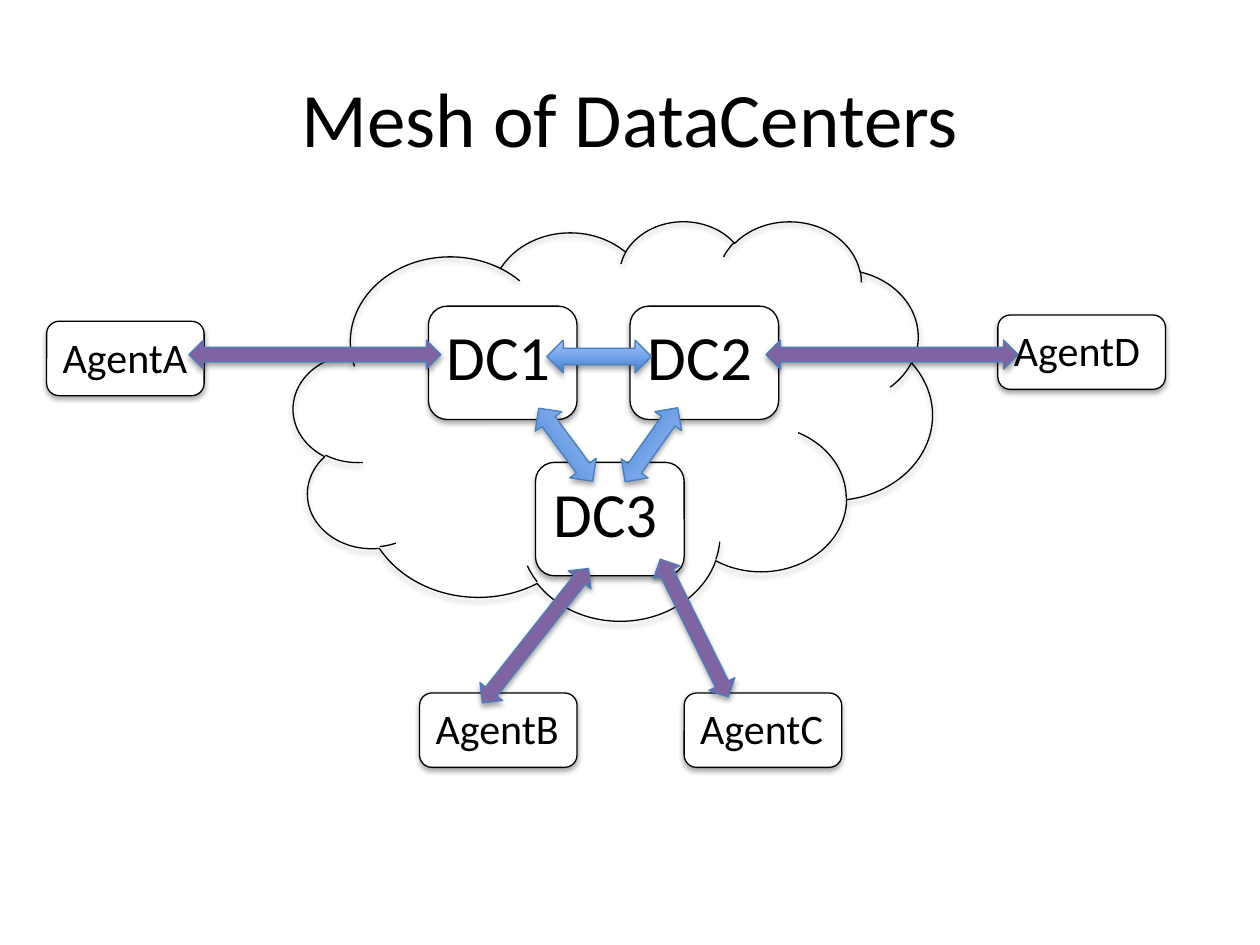
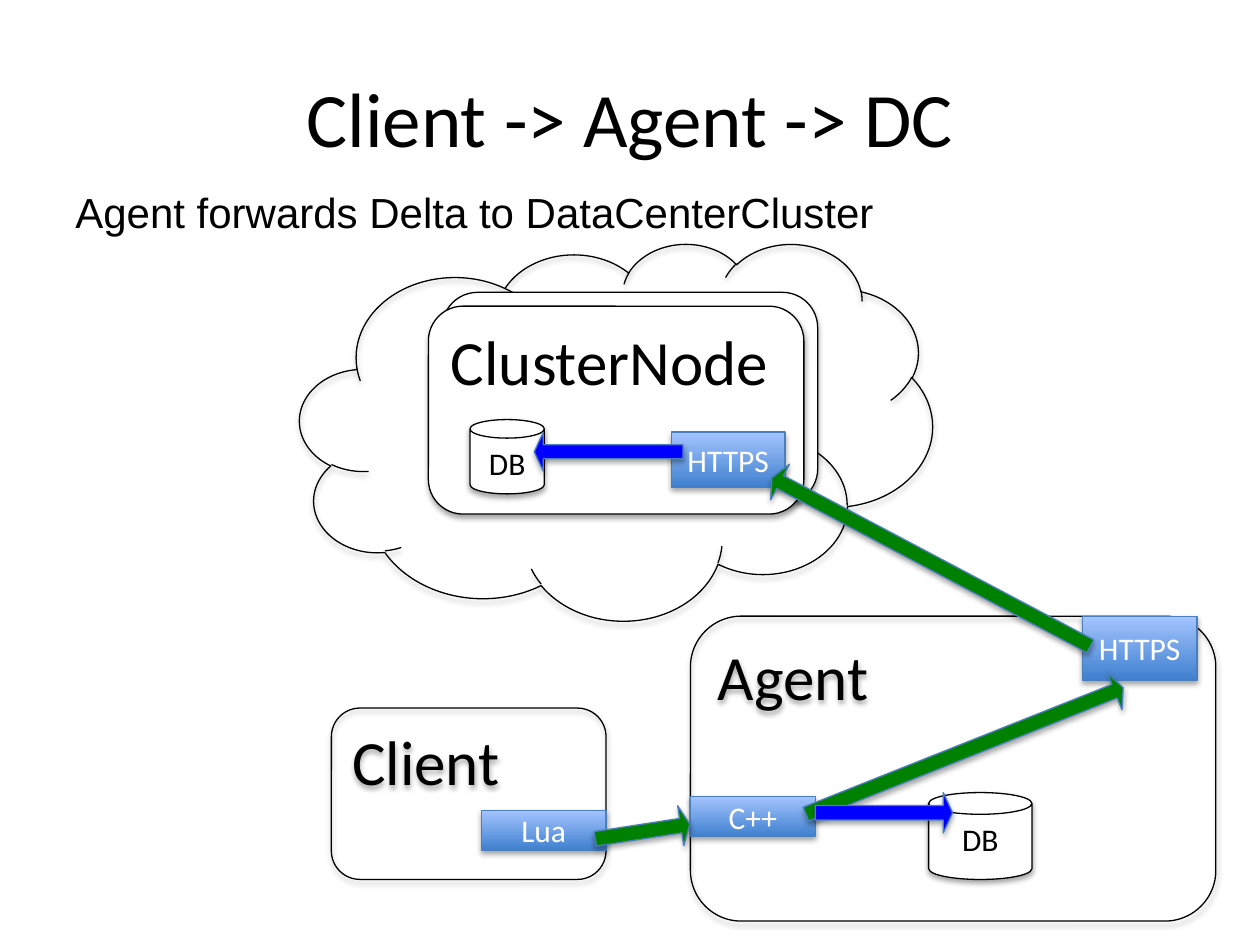
from lxml import etree
from pptx import Presentation
from pptx.dml.color import RGBColor
from pptx.enum.shapes import MSO_SHAPE
from pptx.enum.text import MSO_ANCHOR, MSO_AUTO_SIZE, PP_ALIGN
from pptx.oxml.ns import qn
from pptx.util import Pt

PX = 9144
BLACK, WHITE, EDGE_BLUE = "000000", "FFFFFF", "4B7EBC"
BLUE_GRADIENT = ("3F80CE", "A4C4FF")
TITLE_BOX = (50, 30, 900, 125)
ARROW_ADJUSTMENTS = (0.361, 0.229)

STYLES = {
    "cloud": dict(preset=MSO_SHAPE.CLOUD),
    "frame": dict(preset=MSO_SHAPE.ROUNDED_RECTANGLE, size=36),
    "node": dict(preset=MSO_SHAPE.ROUNDED_RECTANGLE, fill=WHITE, size=36),
    "agent": dict(preset=MSO_SHAPE.ROUNDED_RECTANGLE, fill=WHITE, size=24),
    "database": dict(preset=MSO_SHAPE.CAN, fill=WHITE, size=18, centered=True),
    "module": dict(preset=MSO_SHAPE.RECTANGLE, fill=BLUE_GRADIENT, line=EDGE_BLUE,
                   size=18, color=WHITE, centered=True, anchor=MSO_ANCHOR.MIDDLE),
    "sync": dict(preset=MSO_SHAPE.LEFT_RIGHT_ARROW, fill=BLUE_GRADIENT, line=EDGE_BLUE),
    "link": dict(preset=MSO_SHAPE.LEFT_RIGHT_ARROW, fill="8064A2", line=EDGE_BLUE),
    "forward": dict(preset=MSO_SHAPE.RIGHT_ARROW, fill="008000", line=EDGE_BLUE,
                    adjustments=ARROW_ADJUSTMENTS),
    "store": dict(preset=MSO_SHAPE.RIGHT_ARROW, fill="0000FF", line=EDGE_BLUE,
                  adjustments=ARROW_ADJUSTMENTS),
}

DATACENTER_SIZE = (118, 90)
DATACENTERS = [("DC1", 340, 243), ("DC2", 500, 243), ("DC3", 425, 367)]
AGENTS = [
    ("AgentA", 37, 255, 125),
    ("AgentB", 333, 550, 125),
    ("AgentC", 543, 550, 125),
    ("AgentD", 792, 250, 133),
]
AGENT_HEIGHT = 59
MESH_ARROWS = [
    ("sync", (413, 340, 72, 26), 53.5),
    ("sync", (481, 340, 72, 26), 125.4),
    ("sync", (434, 270, 83, 26), 0),
    ("link", (150, 270, 200, 23), 0),
    ("link", (608, 270, 200, 23), 0),
    ("link", (357, 493, 136, 23), 308.3),
    ("link", (490, 487, 122, 23), 243.7),
]
MESH_PARTS = (
    [("cloud", (233, 175, 507, 317), "", 0)]
    + [("node", (left, top, *DATACENTER_SIZE), name, 0) for name, left, top in DATACENTERS]
    + [("agent", (left, top, width, AGENT_HEIGHT), name, 0) for name, left, top, width in AGENTS]
    + [(style, box, "", angle) for style, box, angle in MESH_ARROWS]
)

FORWARDING_PARTS = [
    ("cloud", (238, 193, 502, 299), "", 0),
    ("frame", (548, 489, 417, 242), "Agent", 0),
    ("database", (737, 629, 82, 69), "DB", 0),
    ("module", (548, 632, 99, 32), "C++", 0),
    ("module", (859, 489, 91, 51), "HTTPS", 0),
    ("forward", (630, 580, 271, 32), "", 338.3),
    ("store", (647, 629, 109, 32), "", 0),
    ("frame", (263, 562, 218, 136), "Client", 0),
    ("module", (382, 643, 99, 32), "Lua", 0),
    ("node", (351, 232, 298, 168), "", 0),
    ("forward", (472, 644, 76, 32), "", 351.2),
    ("node", (340, 243, 298, 165), "ClusterNode", 0),
    ("database", (373, 333, 59, 59), "DB", 0),
    ("module", (533, 343, 90, 44), "HTTPS", 0),
    ("store", (424, 343, 118, 31), "", 180),
    ("forward", (596, 430, 286, 32), "", 207.9),
]

SLIDES = [
    ("Mesh of DataCenters", None, MESH_PARTS),
    ("Client -> Agent -> DC", "Agent forwards Delta to DataCenterCluster", FORWARDING_PARTS),
]
SUBTITLE_BOX = (50, 143, 917, 50)


def rgb(value):
    return RGBColor.from_string(value)


def scaled(box):
    return [length * PX for length in box]


def write(shape, text, size, color=BLACK, font="Calibri", centered=False, anchor=MSO_ANCHOR.TOP):
    frame = shape.text_frame
    frame.word_wrap = True
    frame.vertical_anchor = anchor
    paragraph = frame.paragraphs[0]
    paragraph.alignment = PP_ALIGN.CENTER if centered else PP_ALIGN.LEFT
    run = paragraph.add_run()
    run.text = text
    run.font.name = font
    run.font.size = Pt(size)
    run.font.color.rgb = rgb(color)


def paint(shape, fill):
    if fill is None:
        shape.fill.background()
    elif isinstance(fill, tuple):
        shape.fill.gradient()
        shape.fill.gradient_angle = 90
        for stop, color in zip(shape.fill.gradient_stops, fill):
            stop.color.rgb = rgb(color)
    else:
        shape.fill.solid()
        shape.fill.fore_color.rgb = rgb(fill)


def add_shadow(shape):
    shape.shadow.inherit = False
    effects = shape.element.spPr.find(qn("a:effectLst"))
    shadow = etree.SubElement(effects, qn("a:outerShdw"), blurRad="40000", dist="23000",
                              dir="5400000", rotWithShape="0")
    color = etree.SubElement(shadow, qn("a:srgbClr"), val=BLACK)
    etree.SubElement(color, qn("a:alpha"), val="35000")


def add_part(slide, preset, box, text, angle, fill=None, line=BLACK, adjustments=(), **text_style):
    shape = slide.shapes.add_shape(preset, *scaled(box))
    shape.rotation = angle
    for index, value in enumerate(adjustments):
        shape.adjustments[index] = value
    paint(shape, fill)
    shape.line.color.rgb = rgb(line)
    shape.line.width = Pt(0.75)
    add_shadow(shape)
    if text:
        write(shape, text, **text_style)


def add_slide(presentation, title, subtitle, parts):
    slide = presentation.slides.add_slide(presentation.slide_layouts[5])
    heading = slide.shapes.title
    heading.left, heading.top, heading.width, heading.height = scaled(TITLE_BOX)
    write(heading, title, 44, centered=True, anchor=MSO_ANCHOR.MIDDLE)
    for style, box, text, angle in parts:
        add_part(slide, box=box, text=text, angle=angle, **STYLES[style])
    if subtitle:
        text_box = slide.shapes.add_textbox(*scaled(SUBTITLE_BOX))
        write(text_box, subtitle, 24, font="Arial")
        text_box.text_frame.auto_size = MSO_AUTO_SIZE.SHAPE_TO_FIT_TEXT


def main():
    presentation = Presentation()
    presentation.slide_width, presentation.slide_height = scaled((1000, 750))
    for title, subtitle, parts in SLIDES:
        add_slide(presentation, title, subtitle, parts)
    presentation.save("out.pptx")


if __name__ == "__main__":
    main()
